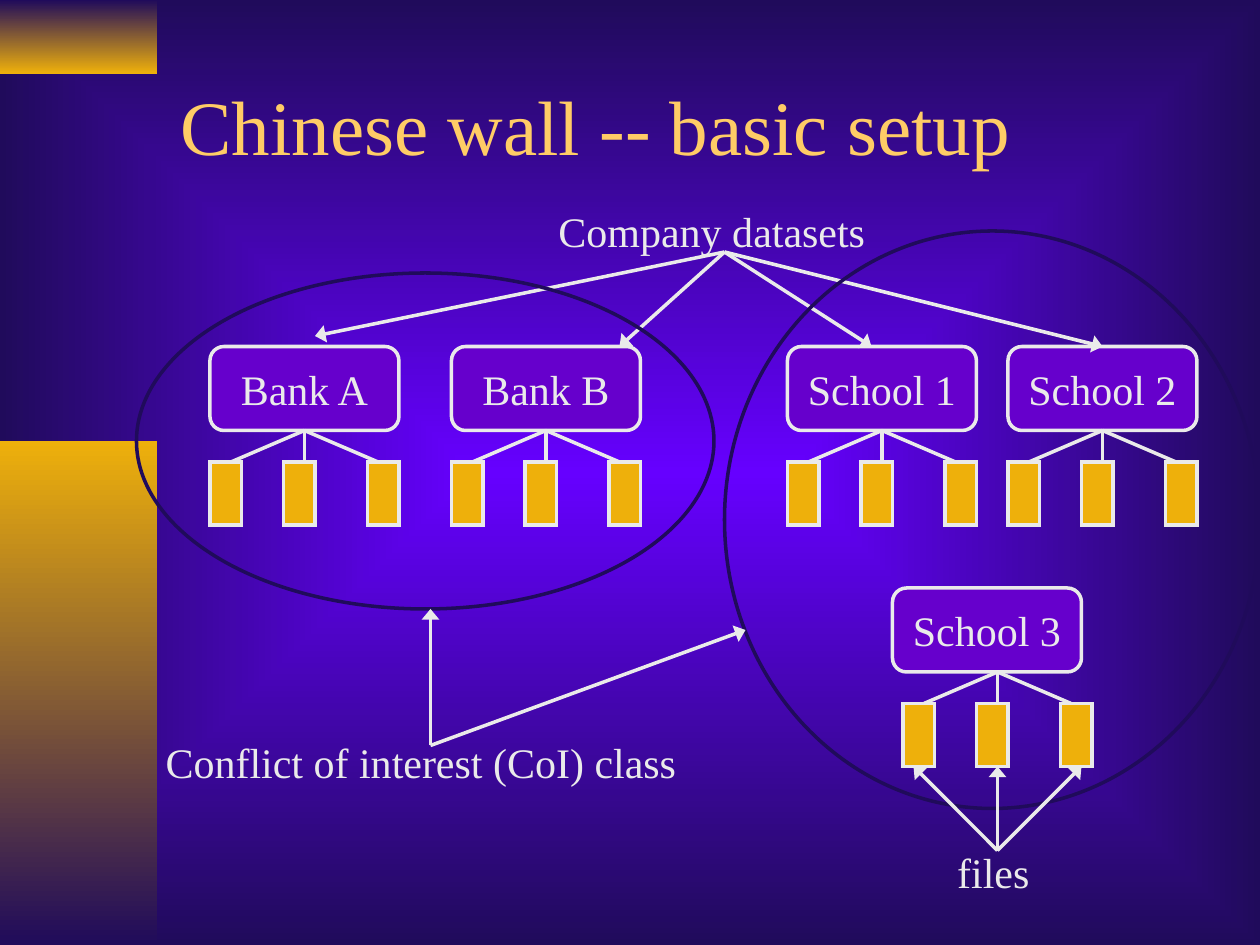
from lxml.etree import SubElement
from pptx import Presentation
from pptx.dml.color import RGBColor
from pptx.enum.shapes import MSO_CONNECTOR, MSO_SHAPE
from pptx.enum.text import MSO_ANCHOR, MSO_AUTO_SIZE, PP_ALIGN
from pptx.oxml.ns import qn
from pptx.util import Pt

PX = 7620  # 120 px to the inch
COLORS = {name: RGBColor.from_string(value) for name, value in {
    "violet": "6600FF", "navy": "200B5B", "gold": "EEB00B",
    "title": "FFCC66", "box": "6600CC", "light": "EAEAEA"}.items()}
FONT = "Times New Roman"

prs = Presentation()
prs.slide_width, prs.slide_height = 1200 * PX, 900 * PX
slide = prs.slides.add_slide(prs.slide_layouts[5])


def add_shape(kind, bounds, fill=None, line=None):
    shape = slide.shapes.add_shape(kind, *(v * PX for v in bounds))
    shape.shadow.inherit = False
    if fill:
        shape.fill.solid()
        shape.fill.fore_color.rgb = COLORS[fill]
    else:
        shape.fill.background()
    if line:
        shape.line.color.rgb = COLORS[line]
        shape.line.width = Pt(2)
        SubElement(shape.line._get_or_add_ln(), qn("a:miter"), lim="800000")
    else:
        shape.line.fill.background()
    return shape


def add_line(start, end, arrow=False):
    line = slide.shapes.add_connector(
        MSO_CONNECTOR.STRAIGHT, *(v * PX for v in (*start, *end)))
    line.line.color.rgb = COLORS["light"]
    line.line.width = Pt(2)
    if arrow:
        SubElement(line.line._get_or_add_ln(), qn("a:tailEnd"),
                   type="triangle", w="lg", len="med")
    SubElement(line._element.spPr, qn("a:effectLst"))


# Background: violet centre fading to navy edges
backdrop = slide.background.fill
backdrop.gradient()
for stop, color in zip(backdrop.gradient_stops, ("violet", "navy")):
    stop.color.rgb = COLORS[color]
gradient = next(slide.element.iter(qn("a:gradFill")))
gradient.remove(gradient.find(qn("a:lin")))
center = SubElement(gradient, qn("a:path"), path="rect")
SubElement(center, qn("a:fillToRect"), l="50000", t="50000", r="50000", b="50000")

# Gold bands on the left edge
for bounds, fade in (((0, 0, 150, 70), ("navy", "gold")),
                     ((0, 420, 150, 480), ("gold", "navy"))):
    band = add_shape(MSO_SHAPE.RECTANGLE, bounds)
    band.fill.gradient()
    band.fill.gradient_angle = 270
    for stop, color in zip(band.fill.gradient_stops, fade):
        stop.color.rgb = COLORS[color]

# Title
title = slide.shapes.title
title.left, title.top, title.width, title.height = (
    v * PX for v in (160, 40, 1020, 158))
title.text_frame.text = "Chinese wall -- basic setup"
title.text_frame.vertical_anchor = MSO_ANCHOR.MIDDLE
title.text_frame.auto_size = MSO_AUTO_SIZE.NONE
heading = title.text_frame.paragraphs[0]
heading.alignment = PP_ALIGN.LEFT
heading.font.name, heading.font.size = FONT, Pt(44)
heading.font.color.rgb = COLORS["title"]

# Company datasets, each with three files below
captions = []
for name, x, y, file_shift in (("Bank A", 200, 330, 0), ("Bank B", 430, 330, 0),
                               ("School 1", 750, 330, 0), ("School 2", 960, 330, 0),
                               ("School 3", 850, 560, 10)):
    dataset = add_shape(MSO_SHAPE.ROUNDED_RECTANGLE, (x, y, 180, 80), "box", "light")
    dataset.text_frame.text = name
    dataset.text_frame.vertical_anchor = MSO_ANCHOR.MIDDLE
    captions.append(dataset)
    apex = x + 90 + file_shift
    for branch in (-70, 0, 70):
        add_line((apex, y + 80), (apex + branch, y + 110))
    for offset in (0, 70, 150):
        add_shape(MSO_SHAPE.RECTANGLE,
                  (x + file_shift + offset, y + 110, 30, 60), "gold", "light")

# Labels
for text, bounds in (("Company datasets", (510, 190, 336, 60)),
                     ("files", (890, 800, 112, 60)),
                     ("Conflict of interest (CoI) class", (131, 696, 540, 60))):
    label = slide.shapes.add_textbox(*(v * PX for v in bounds))
    label.text_frame.text = text
    label.text_frame.auto_size = MSO_AUTO_SIZE.SHAPE_TO_FIT_TEXT
    captions.append(label)

for caption in captions:
    caption.text_frame.word_wrap = False
    paragraph = caption.text_frame.paragraphs[0]
    paragraph.alignment = PP_ALIGN.CENTER
    paragraph.font.name, paragraph.font.size = FONT, Pt(24)
    paragraph.font.color.rgb = COLORS["light"]

# Arrows to the datasets, passing under the class outlines
for target in ((300, 320), (590, 330), (830, 330), (1050, 330)):
    add_line((690, 240), target, arrow=True)

# Conflict of interest classes
for bounds in ((130, 260, 550, 320), (690, 220, 510, 550)):
    add_shape(MSO_SHAPE.OVAL, bounds, line="navy")

# Arrows to the files and the classes
for start, targets in (((950, 810), ((870, 730), (950, 730), (1030, 730))),
                       ((410, 710), ((410, 580), (710, 600)))):
    for target in targets:
        add_line(start, target, arrow=True)

prs.save("out.pptx")
